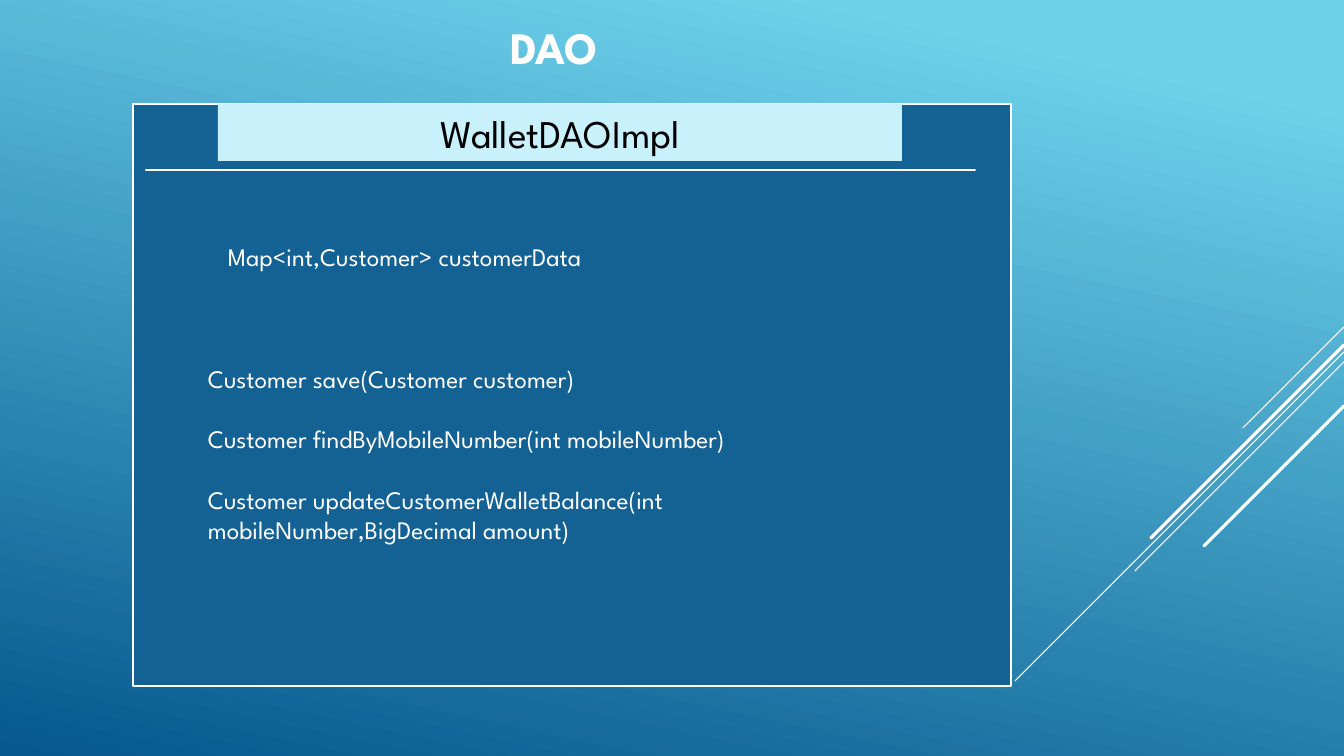
from dataclasses import dataclass

from lxml import etree
from pptx import Presentation
from pptx.dml.color import RGBColor
from pptx.enum.shapes import MSO_CONNECTOR, MSO_SHAPE
from pptx.enum.text import MSO_ANCHOR, MSO_AUTO_SIZE, PP_ALIGN
from pptx.oxml.ns import qn
from pptx.util import Emu, Pt

STRAIGHT = MSO_CONNECTOR.STRAIGHT
RECTANGLE = MSO_SHAPE.RECTANGLE
TOP, MIDDLE = MSO_ANCHOR.TOP, MSO_ANCHOR.MIDDLE
LEFT, CENTER = PP_ALIGN.LEFT, PP_ALIGN.CENTER
NO_AUTOFIT = MSO_AUTO_SIZE.NONE

EMU_PER_PIXEL = 914400 / 100.8
SLIDE_WIDTH, SLIDE_HEIGHT = 1344, 756
TITLE_ONLY = 5


@dataclass(frozen=True)
class Theme:
    """Colours, font, type sizes and line widths of the slide."""
    sky: RGBColor = RGBColor.from_string("6ED2EB")
    deep: RGBColor = RGBColor.from_string("06588E")
    panel: RGBColor = RGBColor.from_string("146194")
    pale: RGBColor = RGBColor.from_string("C8F1FB")
    white: RGBColor = RGBColor.from_string("FFFFFF")
    black: RGBColor = RGBColor.from_string("000000")
    font: str = "League Spartan"
    title: float = 32
    heading: float = 28
    body: float = 18
    method_gap: float = 21.6
    hairline: float = 0.75
    outline: float = 1.5
    accent: float = 2.25


theme = Theme()


def pixels(*lengths):
    """Turn whole pixels into a list of EMU lengths."""
    return [Emu(round(length * EMU_PER_PIXEL)) for length in lengths]


def write_text(box, lines, size=theme.body, color=theme.white, bold=False,
               align=LEFT, anchor=TOP, gap=0):
    """Fill a shape with one formatted paragraph per line."""
    frame = box.text_frame
    frame.word_wrap = True
    frame.auto_size = NO_AUTOFIT
    frame.vertical_anchor = anchor
    frame.text = "\n".join(lines)
    for index, para in enumerate(frame.paragraphs):
        para.alignment = align
        para.space_before = Pt(gap if index else 0)
        font = para.runs[0].font
        font.name, font.size, font.bold = theme.font, Pt(size), bold
        font.color.rgb = color


deck = Presentation()
deck.slide_width, deck.slide_height = pixels(SLIDE_WIDTH, SLIDE_HEIGHT)
page = deck.slides.add_slide(deck.slide_layouts[TITLE_ONLY])
shapes = page.shapes

# Background runs from light at the top right to dark at the bottom left
backdrop = page.background.fill
backdrop.gradient()
backdrop.gradient_angle = 360 - 102
for stop, color, position in zip(backdrop.gradient_stops,
                                 (theme.sky, theme.deep), (0.1, 1)):
    stop.color.rgb = color
    stop.position = position

# Class panel and its name tag
panel = shapes.add_shape(RECTANGLE, *pixels(133, 104, 878, 582))
panel.fill.solid()
panel.fill.fore_color.rgb = theme.panel
panel.line.color.rgb = theme.white
panel.line.width = Pt(theme.outline)
panel.shadow.inherit = False

name_tag = shapes.add_shape(RECTANGLE, *pixels(218, 104, 684, 57))
name_tag.fill.solid()
name_tag.fill.fore_color.rgb = theme.pale
name_tag.line.fill.background()
name_tag.shadow.inherit = False
write_text(name_tag, ["WalletDAOImpl"], size=theme.heading, color=theme.black,
           align=CENTER, anchor=MIDDLE)

# Diagonals fall at 45 degrees from the right edge: top, run, width
diagonals = [
    (327, 101, theme.hairline),
    (352, 329, theme.hairline),
    (362, 209, theme.hairline),
    (345, 193, theme.accent),
    (406, 140, theme.accent),
]
strokes = [((SLIDE_WIDTH, top, SLIDE_WIDTH - run, top + run), width)
           for top, run, width in diagonals]
strokes.append(((146, 170, 975, 170), theme.outline))
for ends, width in strokes:
    stroke = shapes.add_connector(STRAIGHT, *pixels(*ends))
    stroke.line.color.rgb = theme.white
    stroke.line.width = Pt(width)
    stroke.line._get_or_add_ln().set("cap", "rnd")
    etree.SubElement(stroke._element.spPr, qn("a:effectLst"))

# Title, field and methods
title = shapes.title
title.left, title.top, title.width, title.height = pixels(133, 15, 842, 65)
write_text(title, ["DAO"], size=theme.title, bold=True, align=CENTER)

field = shapes.add_textbox(*pixels(218, 236, 580, 40))
write_text(field, ["Map<int,Customer> customerData"])

methods = shapes.add_textbox(*pixels(198, 358, 750, 224))
write_text(methods, [
    "Customer save(Customer customer)",
    "Customer findByMobileNumber(int mobileNumber)",
    "Customer updateCustomerWalletBalance(int mobileNumber,BigDecimal amount)",
], gap=theme.method_gap)

deck.save("out.pptx")
